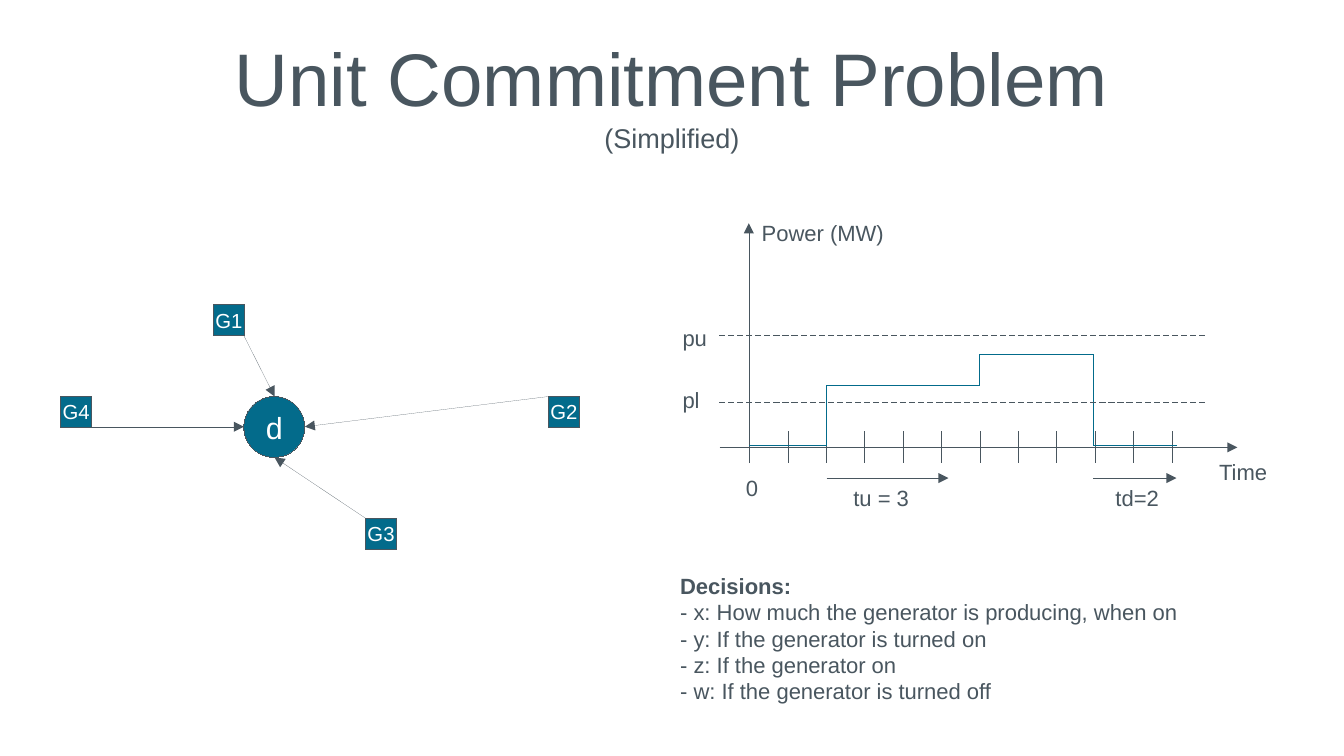
from itertools import pairwise

from lxml import etree
from pptx import Presentation
from pptx import util as u
from pptx.dml.color import RGBColor
from pptx.enum import dml, shapes, text
from pptx.oxml.ns import qn

SLATE = RGBColor(0x49, 0x56, 0x5F)
TEAL = RGBColor(0x03, 0x6B, 0x8B)
WHITE = RGBColor(0xFF, 0xFF, 0xFF)

INSET = (0.25, 0.13)
UNIT_SIZE = 0.64
DEMAND_SIZE = 1.27

# Generator: top left corner of its square, start and end of its arrow
GENERATORS = {
    "G4": ((1.27, 8.26), (1.91, 8.89), (5.08, 8.89)),
    "G1": ((4.45, 6.35), (5.08, 6.99), (5.72, 8.26)),
    "G3": ((7.62, 10.8), (7.62, 10.8), (5.72, 9.53)),
    "G2": ((11.43, 8.26), (11.43, 8.26), (6.35, 8.89)),
}

ORIGIN_X, TIME_Y = 15.62, 9.32
CHART_LEFT = 14.99
PERIOD = 0.8
PERIODS = 11
TURN_ON, RAMP, TURN_OFF, END = 17.22, 20.4, 22.78, 24.51
OFF_Y, LOW_Y, HIGH_Y = 9.28, 8.03, 7.39
DURATION_Y = 9.96
LIMITS = (8.38, 6.99)

OUTPUT = [
    (ORIGIN_X, OFF_Y), (TURN_ON, OFF_Y), (TURN_ON, LOW_Y), (RAMP, LOW_Y),
    (RAMP, HIGH_Y), (TURN_OFF, HIGH_Y), (TURN_OFF, OFF_Y), (END, OFF_Y),
]

CHART_LABELS = [
    ("0", 15.29, 9.75, 0.8),
    ("Time", 25.15, 9.42, 1.7),
    ("Power (MW)", 15.62, 4.45, 3.2),
    ("pl", 13.97, 7.92, 0.9),
    ("pu", 13.97, 6.63, 1.1),
    ("tu = 3", 17.53, 9.96, 1.9),
    ("td=2", 22.99, 9.96, 1.7),
]

DECISIONS = [
    "Decisions:",
    "- x: How much the generator is producing, when on",
    "- y: If the generator is turned on",
    "- z: If the generator on",
    "- w: If the generator is turned off",
]


def write(frame, lines, sizes=(13,), color=SLATE, bold_first=False, centered=False,
          middle=False, inset=INSET):
    """Fill a text frame, one paragraph a line; the last size serves all later lines."""
    frame.word_wrap = False
    frame.margin_left = frame.margin_right = u.Cm(inset[0])
    frame.margin_top = frame.margin_bottom = u.Cm(inset[1])
    frame.vertical_anchor = text.MSO_ANCHOR.MIDDLE if middle else text.MSO_ANCHOR.TOP
    for index, line in enumerate(lines):
        paragraph = frame.paragraphs[0] if index == 0 else frame.add_paragraph()
        paragraph.alignment = text.PP_ALIGN.CENTER if centered else text.PP_ALIGN.LEFT
        run = paragraph.add_run()
        run.text = line
        run.font.name = "Arial"
        run.font.size = u.Pt(sizes[min(index, len(sizes) - 1)])
        run.font.bold = bold_first and index == 0
        run.font.color.rgb = color


def add_label(slide, lines, left, top, width, height=0.76, **style):
    box = slide.shapes.add_textbox(u.Cm(left), u.Cm(top), u.Cm(width), u.Cm(height))
    write(box.text_frame, lines, **style)


def set_hairline(shape, color):
    """Write the zero width explicitly, as python-pptx drops it and the theme width wins."""
    shape.line.color.rgb = color
    outline = shape._element.spPr.find(qn("a:ln"))
    outline.set("w", "0")
    return outline


def add_node(slide, kind, name, corner, size, font_size):
    node = slide.shapes.add_shape(kind, *map(u.Cm, corner), u.Cm(size), u.Cm(size))
    node.shadow.inherit = False
    node.fill.solid()
    node.fill.fore_color.rgb = TEAL
    set_hairline(node, SLATE)
    write(node.text_frame, [name], sizes=(font_size,), color=WHITE, centered=True, middle=True)


def add_line(slide, start, end, color=SLATE, arrow=False, dashed=False):
    line = slide.shapes.add_connector(
        shapes.MSO_CONNECTOR.STRAIGHT, *map(u.Cm, (*start, *end)))
    outline = set_hairline(line, color)
    if dashed:
        line.line.dash_style = dml.MSO_LINE.DASH
    if arrow:
        etree.SubElement(outline, qn("a:tailEnd"), type="triangle")
    etree.SubElement(line._element.spPr, qn("a:effectLst"))


def add_network(slide):
    for name, (corner, start, end) in GENERATORS.items():
        add_node(slide, shapes.MSO_SHAPE.RECTANGLE, name, corner, UNIT_SIZE, 12)
        add_line(slide, start, end, arrow=True)
    add_node(slide, shapes.MSO_SHAPE.OVAL, "d", (5.08, 8.26), DEMAND_SIZE, 18)


def add_power_diagram(slide):
    add_line(slide, (CHART_LEFT, TIME_Y), (25.78, TIME_Y), arrow=True)
    add_line(slide, (15.6, 9.65), (15.6, 4.65), arrow=True)
    for period in range(PERIODS + 1):
        x = ORIGIN_X + period * PERIOD
        add_line(slide, (x, 8.99), (x, 9.63))
    for start, end in pairwise(OUTPUT):
        add_line(slide, start, end, color=TEAL)
    for y in LIMITS:
        add_line(slide, (CHART_LEFT, y), (25.15, y), dashed=True)
    for start, end in ((TURN_ON, 19.76), (TURN_OFF, END)):
        add_line(slide, (start, DURATION_Y), (end, DURATION_Y), arrow=True)
    for label, left, top, width in CHART_LABELS:
        add_label(slide, [label], left, top, width)


def main():
    deck = Presentation()
    deck.slide_width, deck.slide_height = u.Cm(28), u.Cm(15.75)
    slide = deck.slides.add_slide(deck.slide_layouts[6])
    add_label(slide, ["Unit Commitment Problem", "(Simplified)"], 1.4, 0.62, 25.2, 2.64,
              sizes=(44, 16), centered=True, middle=True, inset=(0, 0))
    add_network(slide)
    add_power_diagram(slide)
    add_label(slide, DECISIONS, 13.92, 11.79, 10.85, 2.82, bold_first=True)
    deck.save("out.pptx")


if __name__ == "__main__":
    main()
